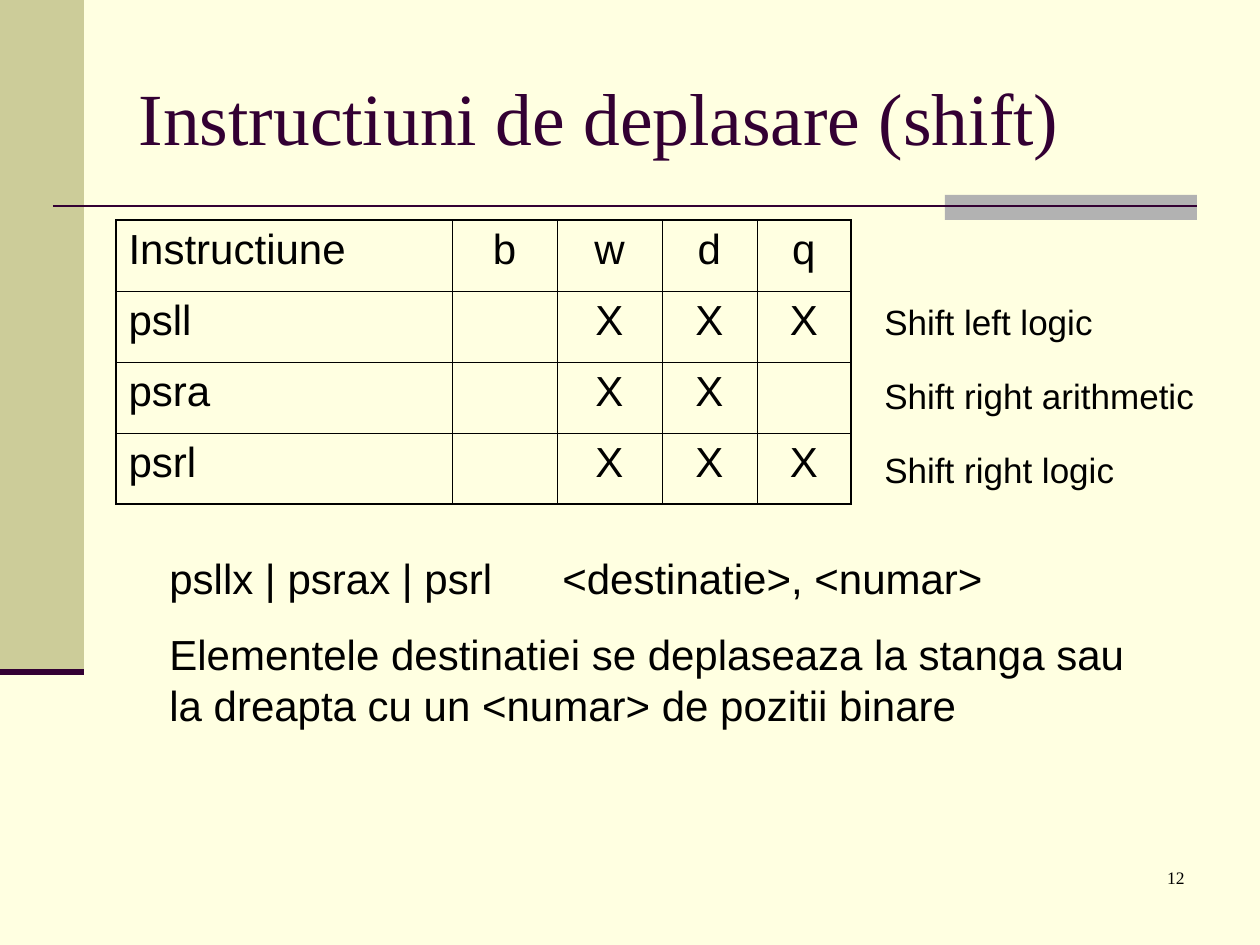
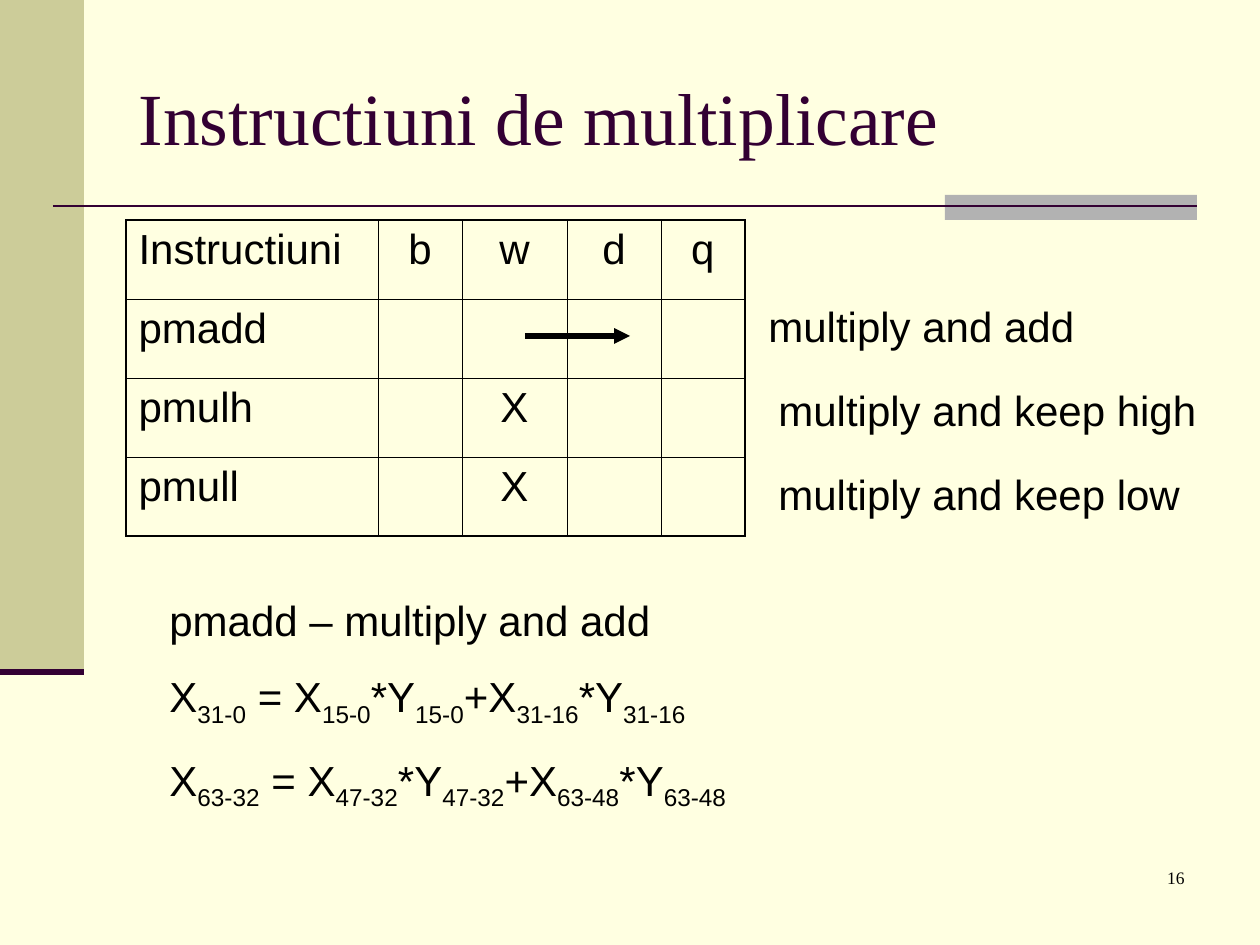
import pptx
import pptx.dml.color
import pptx.enum.shapes
import pptx.enum.text
import pptx.oxml
import pptx.oxml.ns
import pptx.util

PX = 914400 / 126
INK, PLUM, OLIVE, GREY, CREAM = "000000", "330033", "CCCC99", "B2B2B2", "FFFFE1"
SANS, SERIF = "Arial", "Times New Roman"
LEFT = pptx.enum.text.PP_ALIGN.LEFT
CENTER = pptx.enum.text.PP_ALIGN.CENTER
RIGHT = pptx.enum.text.PP_ALIGN.RIGHT
MIDDLE = pptx.enum.text.MSO_ANCHOR.MIDDLE
NAMESPACE = pptx.oxml.ns.nsdecls("a")


def px(length):
    """Turn px into EMU."""
    return pptx.util.Emu(round(length * PX))


def color(value):
    """Turn a hex string into a colour."""
    return pptx.dml.color.RGBColor.from_string(value)


def apply(target, values):
    """Set each attribute of the target from a dict."""
    for name, value in values.items():
        setattr(target, name, value)


def write(paragraph, text, size, name=SANS, ink=INK, align=LEFT):
    """Write text in a paragraph, with pieces between tildes as subscripts."""
    paragraph.alignment = align
    for index, piece in enumerate(text.split("~")):
        if not piece:
            continue
        run = paragraph.add_run()
        run.text = piece
        apply(run.font, {"name": name, "size": pptx.util.Pt(size), "bold": False})
        run.font.color.rgb = color(ink)
        if index % 2:
            run.font._element.set("baseline", "-25000")


def add_text(slide, box, lines, size, tab=None, **style):
    """Add a wrapped text box with one paragraph per line."""
    frame = slide.shapes.add_textbox(*map(px, box)).text_frame
    frame.word_wrap = True
    for index, line in enumerate(lines):
        paragraph = frame.add_paragraph() if index else frame.paragraphs[0]
        if index:
            paragraph.space_before = pptx.util.Pt(15)
        if "\t" in line:
            paragraph._p.get_or_add_pPr().append(pptx.oxml.parse_xml(
                f'<a:tabLst {NAMESPACE}><a:tab pos="{px(tab)}" algn="l"/></a:tabLst>'))
        write(paragraph, line, size, **style)


def add_block(slide, box, fill):
    """Add a plain filled rectangle."""
    shape = slide.shapes.add_shape(pptx.enum.shapes.MSO_SHAPE.RECTANGLE, *map(px, box))
    shape.shadow.inherit = False
    shape.fill.solid()
    shape.fill.fore_color.rgb = color(fill)
    shape.line.fill.background()


def add_line(slide, ends, ink, width, arrow=False):
    """Add a straight line, with an arrowhead at its end if wanted."""
    connector = slide.shapes.add_connector(
        pptx.enum.shapes.MSO_CONNECTOR.STRAIGHT, *map(px, ends))
    connector.line.color.rgb = color(ink)
    connector.line.width = pptx.util.Pt(width)
    if arrow:
        connector.line._get_or_add_ln().append(
            pptx.oxml.parse_xml(f'<a:tailEnd {NAMESPACE} type="triangle"/>'))
    connector._element.spPr.append(pptx.oxml.parse_xml(f"<a:effectLst {NAMESPACE}/>"))


def add_borders(cell, outer_sides):
    """Draw the four borders of a cell, heavier on the outer sides."""
    properties = cell._tc.get_or_add_tcPr()
    for side in "LRTB":
        width = pptx.util.Pt(1.08 if side in outer_sides else 0.45)
        properties.append(pptx.oxml.parse_xml(
            f'<a:ln{side} {NAMESPACE} w="{width}"><a:solidFill>'
            f'<a:srgbClr val="{INK}"/></a:solidFill></a:ln{side}>'))


def add_instruction_table(slide, left, widths, row_height, rows):
    """Add the table of instructions against operand sizes."""
    box = (left, 220, sum(widths), row_height * len(rows))
    table = slide.shapes.add_table(len(rows), len(widths), *map(px, box)).table
    apply(table, {"first_row": False, "horz_banding": False})
    for column, width in zip(table.columns, widths):
        column.width = px(width)
    for row_index, texts in enumerate(rows):
        table.rows[row_index].height = px(row_height)
        for column_index, text in enumerate(texts):
            cell = table.cell(row_index, column_index)
            outer = {"L": column_index == 0, "R": column_index == len(widths) - 1,
                     "T": row_index == 0, "B": row_index == len(rows) - 1}
            add_borders(cell, [side for side, is_outer in outer.items() if is_outer])
            cell.fill.background()
            write(cell.text_frame.paragraphs[0], text, 24,
                  align=CENTER if column_index else LEFT)


def add_captions(slide, captions, size, pitch, height):
    """Add captions beside the table rows at an equal pitch."""
    for index, (left, width, text) in enumerate(captions):
        add_text(slide, (left, 294 + index * pitch, width, height), [text], size)


def add_slide(presentation, title, number):
    """Add a slide with the shared bands, rules, title and number."""
    slide = presentation.slides.add_slide(presentation.slide_layouts[5])
    add_block(slide, (0, 0, 84, 672), OLIVE)
    add_block(slide, (945, 195, 252, 25), GREY)
    add_line(slide, (53, 206, 1197, 206), PLUM, 1.5)
    add_line(slide, (0, 672, 84, 672), PLUM, 3.5)
    shape = slide.shapes.title
    apply(shape, dict(zip(("left", "top", "width", "height"),
                          map(px, (126, 38, 1071, 157)))))
    apply(shape.text_frame, {"vertical_anchor": MIDDLE, "word_wrap": True,
                             "auto_size": pptx.enum.text.MSO_AUTO_SIZE.NONE})
    write(shape.text_frame.paragraphs[0], title, 42, SERIF, PLUM)
    add_text(slide, (935, 861, 262, 63), [number], 10, name=SERIF, align=RIGHT)
    return slide


def add_shift_slide(presentation):
    """Build the slide on shift instructions."""
    slide = add_slide(presentation, "Instructiuni de deplasare (shift)", "12")
    add_instruction_table(slide, 116, (336, 105, 105, 95, 94), 71, [
        ("Instructiune", "b", "w", "d", "q"),
        ("psll", "", "X", "X", "X"),
        ("psra", "", "X", "X", ""),
        ("psrl", "", "X", "X", "X")])
    add_captions(slide, [(872, 305, "Shift left logic"),
                         (872, 357, "Shift right arithmetic"),
                         (872, 357, "Shift right logic")], 20, 74, 55)
    add_text(slide, (157, 546, 1018, 190), [
        "psllx | psrax | psrl\t<destinatie>, <numar>",
        "Elementele destinatiei se deplaseaza la stanga sau "
        "la dreapta cu un <numar> de pozitii binare"], 24, tab=393)


def add_multiply_slide(presentation):
    """Build the slide on multiply instructions."""
    slide = add_slide(presentation, "Instructiuni de multiplicare", "16")
    add_instruction_table(slide, 126, (252, 84, 105, 94, 84), 79, [
        ("Instructiuni", "b", "w", "d", "q"),
        ("pmadd", "", "", "", ""),
        ("pmulh", "", "X", "", ""),
        ("pmull", "", "X", "", "")])
    add_line(slide, (525, 336, 630, 336), INK, 3, arrow=True)
    add_captions(slide, [(756, 368, "multiply and add"),
                         (766, 451, "multiply and keep high"),
                         (766, 451, "multiply and keep low")], 24, 84, 63)
    add_text(slide, (157, 588, 725, 231), [
        "pmadd – multiply and add",
        "X~31-0~ = X~15-0~*Y~15-0~+X~31-16~*Y~31-16~",
        "X~63-32~ = X~47-32~*Y~47-32~+X~63-48~*Y~63-48~"], 24)


def main():
    """Build and save the presentation."""
    presentation = pptx.Presentation()
    apply(presentation, {"slide_width": px(1260), "slide_height": px(945)})
    background = presentation.slide_master.background.fill
    background.solid()
    background.fore_color.rgb = color(CREAM)
    add_shift_slide(presentation)
    add_multiply_slide(presentation)
    presentation.save("out.pptx")


if __name__ == "__main__":
    main()
